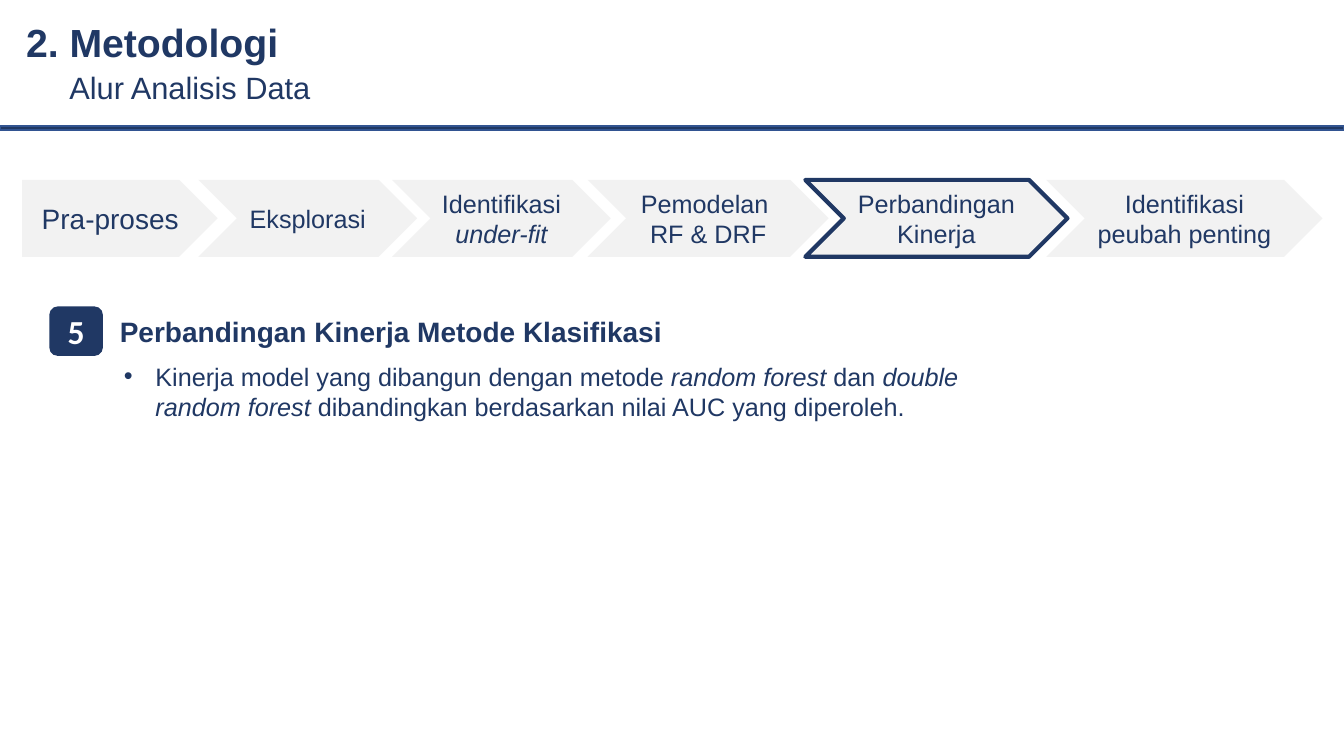
from pptx import Presentation
from pptx.dml.color import RGBColor
from pptx.enum.shapes import MSO_SHAPE
from pptx.enum.text import MSO_ANCHOR, PP_ALIGN
from pptx.util import Pt
from lxml import etree

RECT = MSO_SHAPE.RECTANGLE
ROUNDED = MSO_SHAPE.ROUNDED_RECTANGLE
PENTAGON = MSO_SHAPE.PENTAGON
CHEVRON = MSO_SHAPE.CHEVRON
TOP, MIDDLE = MSO_ANCHOR.TOP, MSO_ANCHOR.MIDDLE
LEFT, CENTER = PP_ALIGN.LEFT, PP_ALIGN.CENTER

NAVY, RULE_EDGE, PALE, WHITE = "203864", "325491", "F2F2F2", "FFFFFF"
SLIDE_W, SLIDE_H = 960, 540
STEP_TOP, STEP_H = 128.5, 54.9

TITLE = "2. Metodologi"
SUBTITLE = "Alur Analisis Data"
STEP_NUMBER = "5"
HEADING = "Perbandingan Kinerja Metode Klasifikasi"
EXPLANATION = [
    ("Kinerja model yang dibangun dengan metode ", False),
    ("random forest ", True),
    ("dan ", False),
    ("double random forest ", True),
    ("dibandingkan berdasarkan nilai AUC yang diperoleh.", False),
]
STEPS = [
    (15.8, 139.7, 20, [[("Pra-proses", False)]]),
    (141.8, 156.2, 18, [[("Eksplorasi", False)]]),
    (280.1, 156.2, 18, [[("Identifikasi ", False), ("under-fit", True)]]),
    (419.8, 172.1, 18, [[("Pemodelan ", False)], [("RF & DRF", False)]]),
    (575.3, 187.2, 18, [[("Perbandingan Kinerja", False)]]),
    (747.4, 197.3, 18, [[("Identifikasi peubah penting", False)]]),
]
CURRENT_STEP = 4


def color(hex_value):
    return RGBColor.from_string(hex_value)


def write(shape, paragraphs, size, ink=NAVY, bold=False, font="Arial",
          align=LEFT, anchor=TOP):
    frame = shape.text_frame
    frame.word_wrap = True
    frame.vertical_anchor = anchor
    for index, runs in enumerate(paragraphs):
        paragraph = frame.paragraphs[0] if index == 0 else frame.add_paragraph()
        paragraph.alignment = align
        for words, italic in runs:
            run = paragraph.add_run()
            run.text = words
            run.font.name = font
            run.font.size = Pt(size)
            run.font.bold = bold
            run.font.italic = italic
            run.font.color.rgb = color(ink)
    return frame.paragraphs[0]


def add_block(kind, left, top, width, height, fill, edge=None, edge_width=1):
    block = slide.shapes.add_shape(kind, Pt(left), Pt(top), Pt(width), Pt(height))
    block.shadow.inherit = False
    block.fill.solid()
    block.fill.fore_color.rgb = color(fill)
    if edge:
        block.line.color.rgb = color(edge)
        block.line.width = Pt(edge_width)
    else:
        block.line.fill.background()
    return block


def add_label(left, top, width, height):
    return slide.shapes.add_textbox(Pt(left), Pt(top), Pt(width), Pt(height))


def add_bullet(paragraph, indent):
    properties = paragraph._p.get_or_add_pPr()
    properties.set("marL", str(Pt(indent)))
    properties.set("indent", str(-Pt(indent)))
    namespace = "{http://schemas.openxmlformats.org/drawingml/2006/main}"
    etree.SubElement(properties, namespace + "buFont").set("typeface", "Arial")
    etree.SubElement(properties, namespace + "buChar").set("char", "•")


deck = Presentation()
deck.slide_width, deck.slide_height = Pt(SLIDE_W), Pt(SLIDE_H)
slide = deck.slides.add_slide(deck.slide_layouts[6])

title = write(add_label(11.5, 11.5, 234, 40.3), [[(TITLE, False)]], 28,
              bold=True, anchor=MIDDLE)
title.line_spacing = 0.9
add_block(RECT, 0, 90, SLIDE_W, 2.9, NAVY, RULE_EDGE)
write(add_label(42.5, 45.4, 247.7, 33.8), [[(SUBTITLE, False)]], 22)

write(add_label(78.5, 221, 649.4, 31.7), [[(HEADING, False)]], 20, bold=True)
badge = add_block(ROUNDED, 35.3, 218.9, 38.2, 35.3, NAVY)
write(badge, [[(STEP_NUMBER, False)]], 24, WHITE, True, "Calibri", CENTER, MIDDLE)

for position, (left, width, size, lines) in enumerate(STEPS):
    kind = PENTAGON if position == 0 else CHEVRON
    edge = NAVY if position == CURRENT_STEP else None
    step = add_block(kind, left, STEP_TOP, width, STEP_H, PALE, edge, 3)
    write(step, lines, size, align=CENTER, anchor=MIDDLE)

explanation = write(add_label(81.4, 254.2, 646.6, 51.1), [EXPLANATION], 18)
add_bullet(explanation, 22.5)

deck.save("out.pptx")
